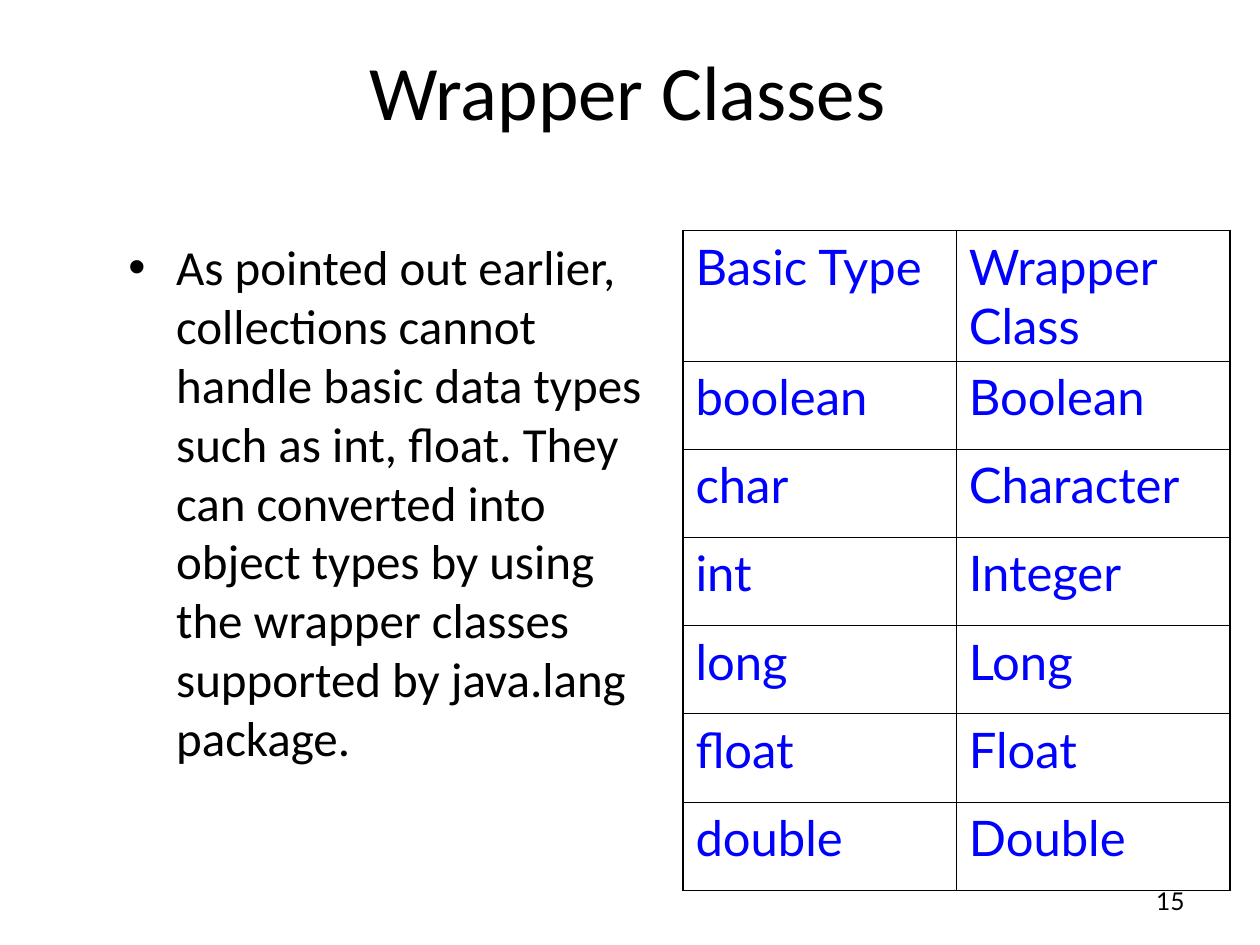
from pptx import Presentation
from pptx.dml.color import RGBColor
from pptx.enum import text
from pptx.oxml import parse_xml
from pptx.oxml.ns import nsdecls
from pptx.util import Inches, Pt


def rgb(value):
    return RGBColor.from_string(value)


def write(tf, words, size, font, color="000000", **formats):
    p = tf.paragraphs[0]
    for name, value in formats.items():
        setattr(p, name, value)
    r = p.add_run()
    r.text = words
    for name, value in {"size": Pt(size), "name": font}.items():
        setattr(r.font, name, value)
    r.font.color.rgb = rgb(color)
    return p


prs = Presentation()
prs.slide_width, prs.slide_height = Inches(10), Inches(7.5)
s = prs.slides.add_slide(prs.slide_layouts[6])

body_text = (
    "As pointed out earlier, collections cannot handle basic data types such as "
    "int, float. They can converted into object types by using the wrapper "
    "classes supported by java.lang package."
)
middle, top = text.MSO_ANCHOR.MIDDLE, text.MSO_ANCHOR.TOP
boxes = [
    ((7.17, 6.95, 2.33, 0.4), middle, "15", 14, "Lato",
     {"alignment": text.PP_ALIGN.RIGHT}),
    ((0.17, 0.17, 9.62, 1.08), middle, "Wrapper Classes", 44, "Calibri",
     {"alignment": text.PP_ALIGN.CENTER}),
    ((0.92, 1.83, 4.33, 4.87), top, body_text, 28, "Calibri",
     {"space_before": Pt(7)}),
]
for place, anchor, words, size, font, formats in boxes:
    tf = s.shapes.add_textbox(*map(Inches, place)).text_frame
    for name, value in {"word_wrap": True, "vertical_anchor": anchor}.items():
        setattr(tf, name, value)
    p = write(tf, words, size, font, **formats)

pPr = p._p.get_or_add_pPr()
pPr.set("marL", str(Inches(0.38)))
pPr.set("indent", str(Inches(-0.38)))
for bullet in (
    '<a:buClr {}><a:srgbClr val="000000"/></a:buClr>',
    '<a:buFont {} typeface="Arial"/>',
    '<a:buChar {} char="•"/>',
):
    pPr.append(parse_xml(bullet.format(nsdecls("a"))))

rows = [
    ("Basic Type", "Wrapper Class"),
    ("boolean", "Boolean"),
    ("char", "Character"),
    ("int", "Integer"),
    ("long", "Long"),
    ("float", "Float"),
    ("double", "Double"),
]
place = (5.42, 1.83, 4.33, 5.21)
table = s.shapes.add_table(len(rows), 2, *map(Inches, place)).table
table.first_row = table.horz_banding = False
for column in table.columns:
    column.width = Inches(2.17)
for i, row in enumerate(rows):
    table.rows[i].height = Inches(0.7 if i else 1.03)
    for j, words in enumerate(row):
        cell = table.cell(i, j)
        cell.fill.background()
        for name in ("margin_left", "margin_right"):
            setattr(cell, name, Inches(0.1))
        write(cell.text_frame, words, 28, "Lato", "0000FF", space_before=Pt(7))
        outer = {"L": j == 0, "R": j == 1, "T": i == 0, "B": False}
        tcPr = cell._tc.get_or_add_tcPr()
        for k, (side, thick) in enumerate(outer.items()):
            width = Pt(1.08 if thick else 0.45)
            tcPr.insert(k, parse_xml(
                f'<a:ln{side} {nsdecls("a")} w="{width}"><a:solidFill>'
                f'<a:srgbClr val="000000"/></a:solidFill></a:ln{side}>'
            ))

prs.save("out.pptx")
